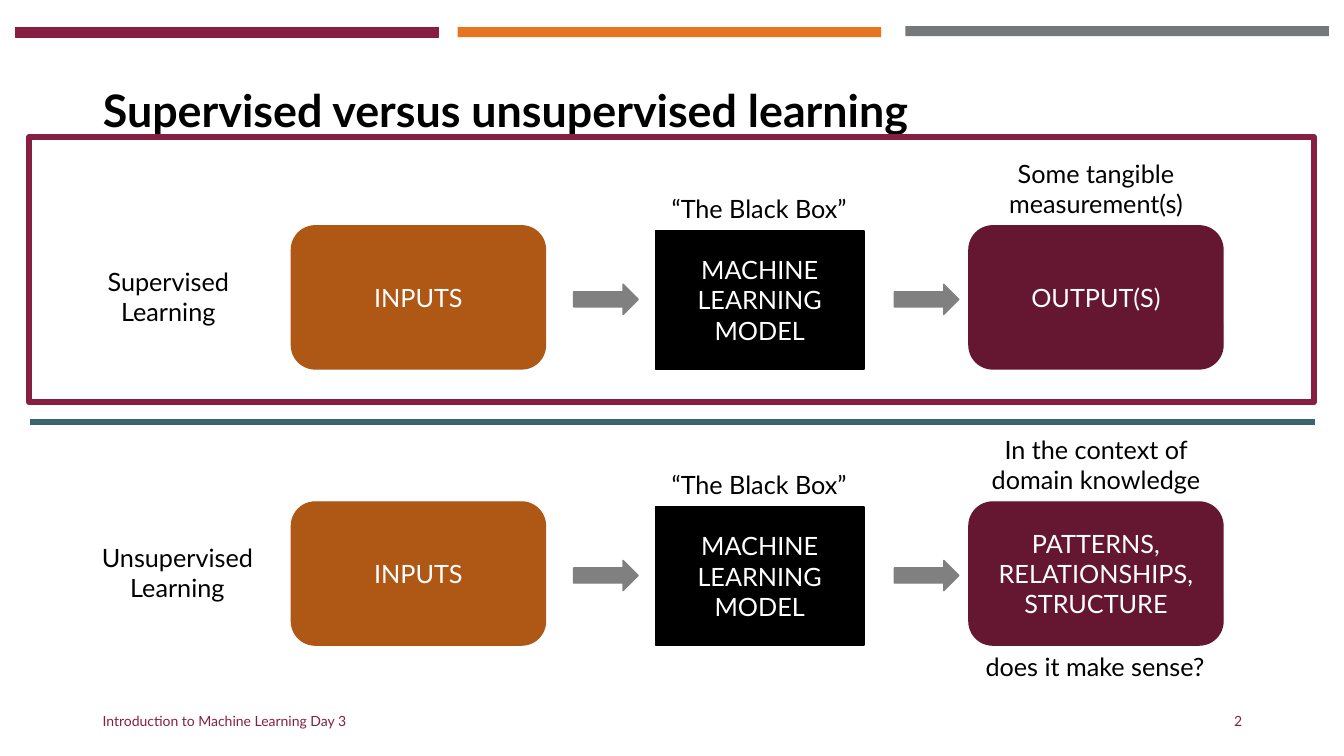
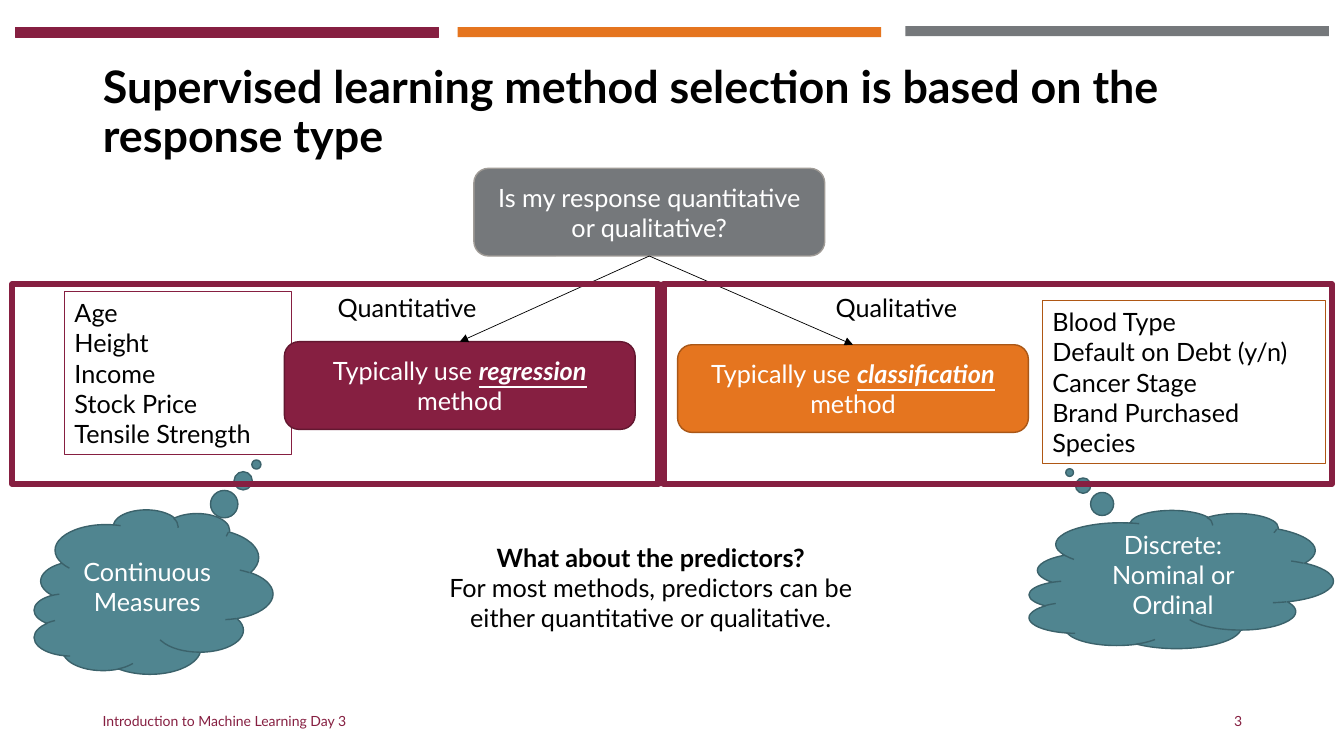
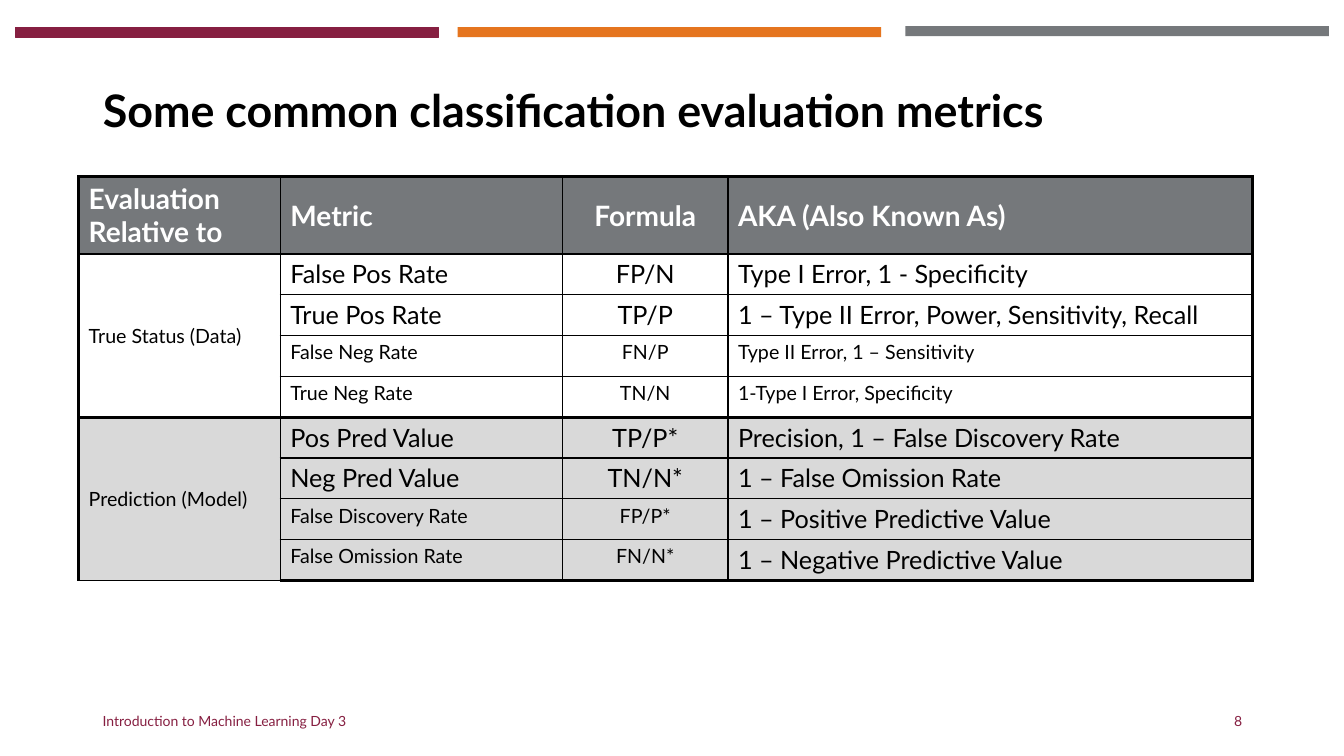
from dataclasses import dataclass
from typing import NamedTuple, Optional, Union

from lxml.etree import SubElement
from pptx import Presentation
from pptx.dml.color import RGBColor
from pptx.enum.shapes import MSO_CONNECTOR, MSO_SHAPE
from pptx.enum.text import MSO_ANCHOR, MSO_AUTO_SIZE, PP_ALIGN
from pptx.oxml.ns import qn
from pptx.presentation import Presentation as Deck
from pptx.shapes.autoshape import Shape
from pptx.shapes.connector import Connector
from pptx.slide import Slide
from pptx.table import _Cell
from pptx.text.text import TextFrame
from pptx.util import Inches, Pt

FONT = "Lato"
BLACK, WHITE = "000000", "FFFFFF"
MAROON, DARK_MAROON, PLUM = "861F41", "651731", "631730"
ORANGE, DARK_ORANGE, RUST = "E5751F", "AF5714", "A95717"
SLATE, STONE, ARROW_GRAY, PALE_GRAY = "75787B", "9F9B96", "808080", "D9D9D9"
TEAL, DARK_TEAL, DIVIDER_TEAL = "508590", "3B626B", "3C646C"
FOOTER = "Introduction to Machine Learning Day 3"


class Area(NamedTuple):
    left: float
    top: float
    width: float
    height: float

    def lengths(self) -> tuple:
        return tuple(Inches(value) for value in self)


class Span(NamedTuple):
    text: str
    strong: bool = False


class Band(NamedTuple):
    area: Area
    color: str
    outline: Optional[str] = None


@dataclass
class Flow:
    label: str
    label_left: float
    top: float
    output: tuple[str, ...]
    note: str


@dataclass
class Metric:
    name: str
    formula: str
    alias: str
    size: int = 18
    alias_size: int = 18


@dataclass
class MetricGroup:
    label: str
    fill: str
    metrics: list[Metric]


Para = Union[str, list[Span]]

BANDS = [
    Band(Area(0.15, 0.27, 4.2, 0.1), MAROON, MAROON),
    Band(Area(4.54, 0.27, 4.2, 0.1), ORANGE),
    Band(Area(8.98, 0.26, 4.2, 0.1), SLATE),
]

FLOWS = [
    Flow("Supervised Learning", 0.72, 1.52, ("OUTPUT(S)",),
         "Some tangible measurement(s)"),
    Flow("Unsupervised Learning", 0.81, 4.26,
         ("PATTERNS,", "RELATIONSHIPS, STRUCTURE"),
         "In the context of domain knowledge"),
]

METRIC_GROUPS = [
    MetricGroup("True Status (Data)", WHITE, [
        Metric("False Pos Rate", "FP/N", "Type I Error, 1 - Specificity"),
        Metric("True Pos Rate", "TP/P", "1 – Type II Error, Power, Sensitivity, Recall"),
        Metric("False Neg Rate", "FN/P", "Type II Error, 1 – Sensitivity", 14, 14),
        Metric("True Neg Rate", "TN/N", "1-Type I Error, Specificity", 14, 14),
    ]),
    MetricGroup("Prediction (Model)", PALE_GRAY, [
        Metric("Pos Pred Value", "TP/P*", "Precision, 1 – False Discovery Rate"),
        Metric("Neg Pred Value", "TN/N*", "1 – False Omission Rate"),
        Metric("False Discovery Rate", "FP/P*", "1 – Positive Predictive Value", 14),
        Metric("False Omission Rate", "FN/N*", "1 – Negative Predictive Value", 14),
    ]),
]


def rgb(color: str) -> RGBColor:
    return RGBColor.from_string(color)


def write(frame: TextFrame, *paras: Para, size: float = 18, color: str = BLACK,
          bold: bool = False, align: PP_ALIGN = PP_ALIGN.LEFT,
          spacing: Optional[float] = None) -> None:
    """Add paragraphs, filling the frame's empty first one; strong spans are emphasised."""
    for para_text in paras:
        first = frame.paragraphs[0]
        para = first if not first.runs else frame.add_paragraph()
        para.alignment = align
        if spacing:
            para.line_spacing = spacing
        spans = [Span(para_text)] if isinstance(para_text, str) else para_text
        for span in spans:
            run = para.add_run()
            run.text = span.text
            font = run.font
            font.name, font.size, font.color.rgb = FONT, Pt(size), rgb(color)
            font.bold = bold or span.strong
            if span.strong:
                font.italic = font.underline = True


def add_text(page: Slide, area: Area, *paras: Para,
             anchor: MSO_ANCHOR = MSO_ANCHOR.TOP, **text_format) -> TextFrame:
    frame = page.shapes.add_textbox(*area.lengths()).text_frame
    frame.word_wrap = True
    frame.vertical_anchor = anchor
    write(frame, *paras, **text_format)
    return frame


def add_box(page: Slide, kind: MSO_SHAPE, area: Area, *paras: Para,
            fill: Optional[str] = None, line: Optional[str] = None,
            line_width: float = 1, color: str = WHITE,
            align: PP_ALIGN = PP_ALIGN.CENTER) -> Shape:
    box = page.shapes.add_shape(kind, *area.lengths())
    box.shadow.inherit = False
    if fill:
        box.fill.solid()
        box.fill.fore_color.rgb = rgb(fill)
    else:
        box.fill.background()
    if line:
        box.line.color.rgb = rgb(line)
        box.line.width = Pt(line_width)
    else:
        box.line.fill.background()
    box.text_frame.word_wrap = True
    box.text_frame.vertical_anchor = MSO_ANCHOR.MIDDLE
    write(box.text_frame, *paras, color=color, align=align)
    return box


def add_frame(page: Slide, area: Area) -> None:
    add_box(page, MSO_SHAPE.RECTANGLE, area, line=MAROON, line_width=4.5)


def add_line(page: Slide, start: tuple[float, float], end: tuple[float, float],
             color: str, width: float) -> Connector:
    line = page.shapes.add_connector(
        MSO_CONNECTOR.STRAIGHT, *(Inches(value) for value in start + end))
    line.line.color.rgb = rgb(color)
    line.line.width = Pt(width)
    SubElement(line._element.spPr, qn("a:effectLst"))
    return line


def add_branch(page: Slide, parent: Shape, child: Shape) -> None:
    """Draw an arrow from the bottom of the parent to the top of the child."""
    arrow = add_line(page, (0, 0), (1, 1), BLACK, 0.5)
    arrow.begin_connect(parent, 2)
    arrow.end_connect(child, 0)
    SubElement(arrow.line._get_or_add_ln(), qn("a:tailEnd"), type="triangle")


def add_thought(page: Slide, area: Area, tail: tuple[float, float], *paras: str) -> None:
    """Draw a mirrored cloud on its side with upright text; area is before the turn."""
    cloud = add_box(page, MSO_SHAPE.CLOUD_CALLOUT, area, *paras, fill=TEAL, line=DARK_TEAL)
    cloud.rotation = 270
    cloud._element.spPr.xfrm.set("flipH", "1")
    cloud.text_frame._txBody.bodyPr.set("vert", "vert")
    for index, value in enumerate(tail):
        cloud.adjustments[index] = value


def add_page(deck: Deck, title: str, number: int) -> Slide:
    page = deck.slides.add_slide(deck.slide_layouts.get_by_name("Title Only"))
    for band in BANDS:
        add_box(page, MSO_SHAPE.RECTANGLE, band.area, fill=band.color,
                line=band.outline, line_width=0.75)
    heading = page.shapes.title
    heading.left, heading.top, heading.width, heading.height = Area(
        0.92, 0.4, 11.5, 1.45).lengths()
    frame = heading.text_frame
    frame.word_wrap = True
    frame.auto_size = MSO_AUTO_SIZE.NONE
    frame.vertical_anchor = MSO_ANCHOR.MIDDLE
    write(frame, title, size=32, bold=True, spacing=0.9)
    small = {"size": 10, "color": MAROON, "anchor": MSO_ANCHOR.MIDDLE}
    add_text(page, Area(0.92, 6.95, 4.5, 0.4), FOOTER, **small)
    add_text(page, Area(9.42, 6.95, 3, 0.4), str(number), align=PP_ALIGN.RIGHT, **small)
    return page


def add_flow(page: Slide, flow: Flow) -> None:
    top, center = flow.top, PP_ALIGN.CENTER
    add_text(page, Area(flow.label_left, top + 1.07, 1.9, 0.71), flow.label, align=center)
    add_box(page, MSO_SHAPE.ROUNDED_RECTANGLE, Area(2.89, top + 0.72, 2.52, 1.42),
            "INPUTS", fill=DARK_ORANGE, line=DARK_ORANGE)
    add_box(page, MSO_SHAPE.RECTANGLE, Area(6.5, top + 0.77, 2.07, 1.37),
            "MACHINE LEARNING MODEL", fill=BLACK, line=BLACK)
    add_box(page, MSO_SHAPE.ROUNDED_RECTANGLE, Area(9.61, top + 0.72, 2.52, 1.42),
            *flow.output, fill=DARK_MAROON, line=DARK_MAROON)
    for left in (5.69, 8.87):
        add_box(page, MSO_SHAPE.RIGHT_ARROW, Area(left, top + 1.3, 0.64, 0.3),
                fill=ARROW_GRAY, line=ARROW_GRAY)
    add_text(page, Area(6.25, top + 0.35, 2.56, 0.4), "“The Black Box”", align=center)
    add_text(page, Area(9.61, top, 2.52, 0.71), flow.note, align=center)


def build_comparison(deck: Deck) -> None:
    page = add_page(deck, "Supervised versus unsupervised learning", 2)
    for flow in FLOWS:
        add_flow(page, flow)
    add_text(page, Area(9.45, 6.41, 2.82, 0.4), "does it make sense?",
             align=PP_ALIGN.CENTER)
    add_line(page, (0.3, 4.19), (13.04, 4.19), DIVIDER_TEAL, 4.5)
    add_frame(page, Area(0.29, 1.36, 12.74, 2.63))


def build_method_selection(deck: Deck) -> None:
    page = add_page(
        deck, "Supervised learning method selection is based on the response type", 3)

    examples = [
        (Area(0.64, 2.89, 2.25, 1.62), MAROON,
         ("Age", "Height", "Income", "Stock Price", "Tensile Strength")),
        (Area(10.34, 2.98, 2.81, 1.62), DARK_ORANGE,
         ("Blood Type", "Default on Debt (y/n)", "Cancer Stage", "Brand Purchased",
          "Species")),
    ]
    for area, outline, names in examples:
        add_box(page, MSO_SHAPE.RECTANGLE, area, *names, line=outline, line_width=0.75,
                color=BLACK, align=PP_ALIGN.LEFT)

    question = add_box(page, MSO_SHAPE.ROUNDED_RECTANGLE, Area(4.7, 1.67, 3.48, 0.87),
                       "Is my response quantitative or qualitative?",
                       fill=SLATE, line=STONE)
    methods = [
        (Area(2.82, 3.39, 3.48, 0.87), "regression", MAROON, PLUM),
        (Area(6.72, 3.42, 3.48, 0.87), "classification", ORANGE, RUST),
    ]
    for area, name, fill, outline in methods:
        answer = add_box(page, MSO_SHAPE.ROUNDED_RECTANGLE, area,
                         [Span("Typically use "), Span(name, True), Span(" method")],
                         fill=fill, line=outline)
        add_branch(page, question, answer)

    for left, response in ((3.25, "Quantitative"), (8.19, "Qualitative")):
        add_text(page, Area(left, 2.85, 2.05, 0.4), response)

    predictors = add_text(page, Area(3.12, 5.33, 6.67, 1.01), "What about the predictors?",
                          bold=True, align=PP_ALIGN.CENTER)
    write(predictors, "For most methods, predictors can be",
          "either quantitative or qualitative.", align=PP_ALIGN.CENTER)

    add_thought(page, Area(0.7, 4.69, 1.63, 2.37), (-0.777, 0.434), "Continuous Measures")
    add_thought(page, Area(11.02, 4.24, 1.37, 3.02), (-0.775, -0.363),
                "Discrete:", "Nominal or Ordinal")
    for left, width in ((6.58, 6.63), (0.12, 6.41)):
        add_frame(page, Area(left, 2.82, width, 1.98))


def set_borders(cell: _Cell, **widths: float) -> None:
    """Set black borders from widths in points, keyed L, R, T and B in that order."""
    properties = cell._tc.get_or_add_tcPr()
    for side, width in widths.items():
        line = SubElement(properties, qn(f"a:ln{side}"), w=str(Pt(width)))
        fill = SubElement(line, qn("a:solidFill"))
        SubElement(fill, qn("a:srgbClr"), val=BLACK)


def fill_cell(cell: _Cell, text: str, fill: str, middle: bool = False,
              **text_format) -> None:
    cell.fill.solid()
    cell.fill.fore_color.rgb = rgb(fill)
    cell.vertical_anchor = MSO_ANCHOR.MIDDLE if middle else MSO_ANCHOR.TOP
    if text:
        write(cell.text_frame, text, **text_format)


def build_metrics(deck: Deck) -> None:
    page = add_page(deck, "Some common classification evaluation metrics", 8)
    headers = ["Evaluation Relative to", "Metric", "Formula", "AKA (Also Known As)"]
    aligns = [PP_ALIGN.LEFT, PP_ALIGN.LEFT, PP_ALIGN.CENTER, PP_ALIGN.LEFT]
    area = Area(0.78, 1.75, 11.64, 4.01)
    header_height, group_size = 0.77, 4
    row_count = 1 + group_size * len(METRIC_GROUPS)
    table = page.shapes.add_table(row_count, len(headers), *area.lengths()).table
    table.first_row = table.horz_banding = False
    for column, width in zip(table.columns, (2, 2.8, 1.64, 5.2)):
        column.width = Inches(width)
    for row in table.rows:
        row.height = Inches((area.height - header_height) / (row_count - 1))
    table.rows[0].height = Inches(header_height)

    thick, thin = 2.25, 1
    last_column = len(headers) - 1
    for row in range(row_count):
        starts_group = row == 0 or row % group_size == 1
        ends_group = row % group_size == 0
        for column in range(len(headers)):
            set_borders(table.cell(row, column),
                        L=thick if column == 0 else thin,
                        R=thick if column == last_column else thin,
                        T=thick if starts_group else thin,
                        B=thick if ends_group else thin)

    for column, (header, align) in enumerate(zip(headers, aligns)):
        fill_cell(table.cell(0, column), header, SLATE, middle=True, size=20,
                  color=WHITE, bold=True, align=align)
    for group_index, group in enumerate(METRIC_GROUPS):
        first_row = 1 + group_index * group_size
        for row, metric in enumerate(group.metrics, first_row):
            label = group.label if row == first_row else ""
            fill_cell(table.cell(row, 0), label, group.fill, middle=True, size=14)
            texts = (metric.name, metric.formula, metric.alias)
            sizes = (metric.size, metric.size, metric.alias_size)
            for column, (text, size) in enumerate(zip(texts, sizes), 1):
                fill_cell(table.cell(row, column), text, group.fill, size=size,
                          align=aligns[column])
        table.cell(first_row, 0).merge(table.cell(first_row + group_size - 1, 0))


def main() -> None:
    deck = Presentation()
    deck.slide_width, deck.slide_height = Inches(13.33), Inches(7.5)
    build_comparison(deck)
    build_method_selection(deck)
    build_metrics(deck)
    deck.save("out.pptx")


if __name__ == "__main__":
    main()
